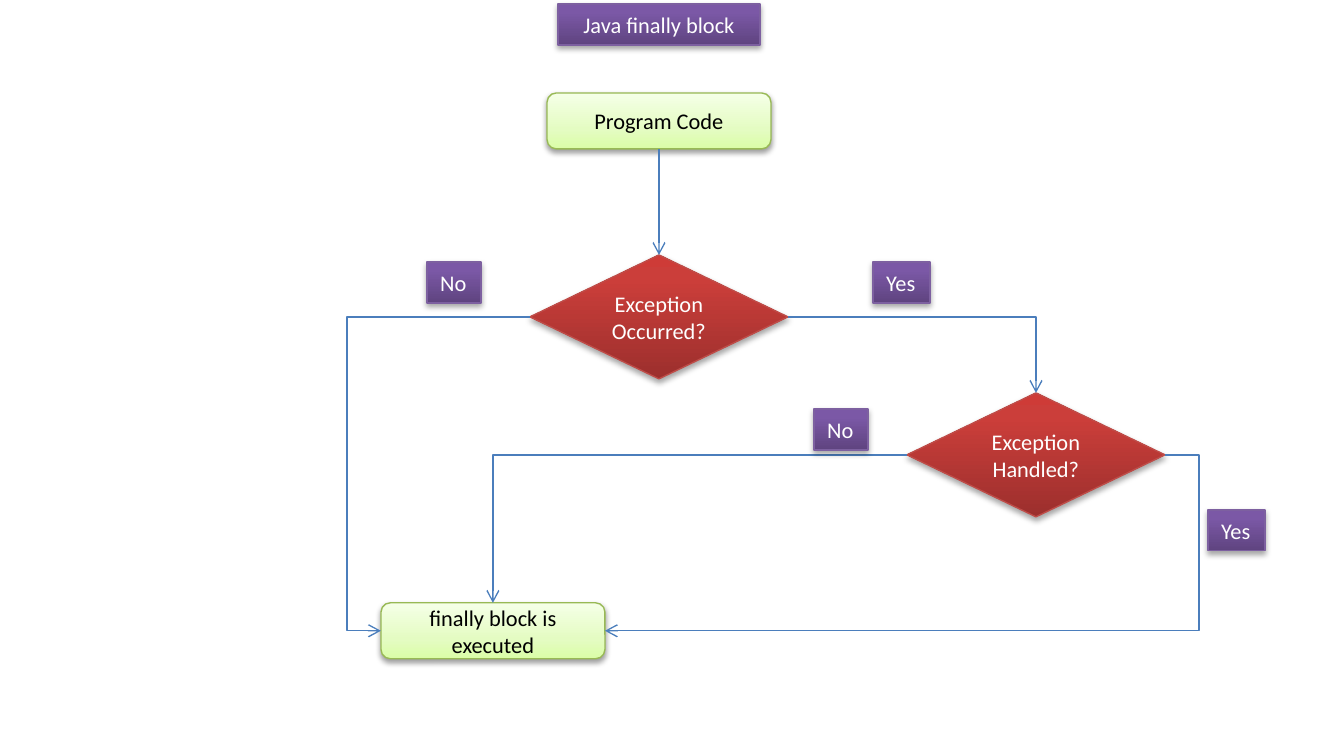
from lxml import etree
from pptx import Presentation
from pptx import util as u
from pptx.dml.color import RGBColor
from pptx.enum import shapes, text
from pptx.oxml import parse_xml
from pptx.oxml.ns import nsdecls, qn

PX = u.Inches(10) / 1344
COLORS = {"white": "FFFFFF", "black": "000000", "arrow": "4B7EBC"}
# Gradient stops run from the bottom of a shape to its top.
STYLES = {
    "label": {"stops": [(0, "5F4480"), (80, "7B58A6"), (100, "7C57A8")],
              "line": "7D60A0", "font": "white", "shadow": (35, 1.8)},
    "step": {"stops": [(0, "DAFDA7"), (35, "E4FCC2"), (100, "F5FFE7")],
             "line": "98B955", "font": "black", "shadow": (38, 1.6)},
    "decision": {"stops": [(0, "9C2F2D"), (80, "CB3E3A"), (100, "CE3B37")],
                 "line": "BF4C48", "font": "white", "shadow": (35, 1.8)},
}
FORMS = {
    "step": (shapes.MSO_SHAPE.FLOWCHART_ALTERNATE_PROCESS, 224, 56),
    "decision": (shapes.MSO_SHAPE.FLOWCHART_DECISION, 258, 124),
}

TITLE = ("Java finally block", 558, 4, 202, 41)
# name: style, wording, centre x, centre y
NODES = {
    "program": ("step", "Program Code", 659, 121),
    "occurred": ("decision", "Exception Occurred?", 659, 317),
    "handled": ("decision", "Exception Handled?", 1036, 455),
    "finally": ("step", "finally block is executed", 493, 631),
}
LABELS = [("Yes", 873, 262), ("Yes", 1208, 510), ("No", 427, 262), ("No", 814, 409)]
LABEL_WIDTHS = {"Yes": 57, "No": 54}
LABEL_HEIGHT = 41
TOP, LEFT, BOTTOM, RIGHT = range(4)
# from, side, to, side, connector form
ARROWS = [
    ("program", BOTTOM, "occurred", TOP, "line"),
    ("occurred", RIGHT, "handled", TOP, "bentConnector2"),
    ("occurred", LEFT, "finally", LEFT, "bentConnector3"),
    ("handled", RIGHT, "finally", RIGHT, "bentConnector3"),
    ("handled", LEFT, "finally", TOP, "bentConnector2"),
]
DETOUR = 34  # how far a three-part arrow swings out past the outer box side


def px(*lengths):
    return [round(length * PX) for length in lengths]


def decorate(shape, style):
    """Apply the gradient, outline and soft shadow of a style."""
    look = STYLES[style]
    shape.fill.gradient()
    shape.fill.gradient_angle = 90
    properties = shape._element.spPr
    stops = properties.find(".//" + qn("a:gsLst"))
    for stop in list(stops):
        stops.remove(stop)
    for position, color in look["stops"]:
        stop = etree.SubElement(stops, qn("a:gs"), pos=str(position * 1000))
        etree.SubElement(stop, qn("a:srgbClr"), val=color)
    shape.line.color.rgb = RGBColor.from_string(look["line"])
    shape.line.width = u.Pt(0.75)
    shape.shadow.inherit = False
    alpha, distance = look["shadow"]
    properties.find(qn("a:effectLst")).append(parse_xml(
        f'<a:outerShdw {nsdecls("a")} blurRad="{u.Pt(3.1)}" dist="{u.Pt(distance)}" '
        f'dir="5400000" rotWithShape="0"><a:srgbClr val="{COLORS["black"]}">'
        f'<a:alpha val="{alpha * 1000}"/></a:srgbClr></a:outerShdw>'))


def write(shape, wording, style, align=text.PP_ALIGN.CENTER, wrap=True):
    frame = shape.text_frame
    frame.text = wording
    frame.word_wrap = wrap
    frame.vertical_anchor = text.MSO_ANCHOR.MIDDLE
    frame.auto_size = text.MSO_AUTO_SIZE.NONE
    para = frame.paragraphs[0]
    para.alignment = align
    para.font.name = "Calibri"
    para.font.size = u.Pt(12)
    para.font.color.rgb = RGBColor.from_string(COLORS[STYLES[style]["font"]])


def add_node(page, style, wording, x, y):
    form, width, height = FORMS[style]
    node = page.shapes.add_shape(
        form, *px(x - width / 2, y - height / 2, width, height))
    decorate(node, style)
    write(node, wording, style)
    return node


def add_arrow(page, start, start_side, end, end_side, form):
    kind = shapes.MSO_CONNECTOR.STRAIGHT if form == "line" else shapes.MSO_CONNECTOR.ELBOW
    arrow = page.shapes.add_connector(kind, 0, 0, 0, 0)
    arrow.begin_connect(start, start_side)
    arrow.end_connect(end, end_side)
    arrow.line.color.rgb = RGBColor.from_string(COLORS["arrow"])
    arrow.line.width = u.Pt(0.75)
    properties = arrow._element.spPr
    etree.SubElement(properties.find(qn("a:ln")), qn("a:tailEnd"), type="arrow")
    etree.SubElement(properties, qn("a:effectLst"))
    geometry = properties.find(qn("a:prstGeom"))
    geometry.set("prst", form)
    if form == "bentConnector3":
        swing = DETOUR * PX / arrow.width
        bend = 1 + swing if end_side == LEFT else -swing
        guides = geometry.find(qn("a:avLst"))
        etree.SubElement(guides, qn("a:gd"), name="adj1",
                         fmla=f"val {round(bend * 100000)}")


def main():
    deck = Presentation()
    deck.slide_width, deck.slide_height = u.Inches(10), u.Inches(5.5)
    page = deck.slides.add_slide(deck.slide_layouts[5])

    wording, *place = TITLE
    title = page.shapes.title
    title.left, title.top, title.width, title.height = px(*place)
    decorate(title, "label")
    write(title, wording, "label")

    nodes = {name: add_node(page, *node) for name, node in NODES.items()}
    for start, start_side, end, end_side, form in ARROWS:
        add_arrow(page, nodes[start], start_side, nodes[end], end_side, form)

    for wording, x, y in LABELS:
        label = page.shapes.add_shape(
            shapes.MSO_SHAPE.RECTANGLE, *px(x, y, LABEL_WIDTHS[wording], LABEL_HEIGHT))
        decorate(label, "label")
        write(label, wording, "label", text.PP_ALIGN.LEFT, wrap=False)

    deck.save("out.pptx")


if __name__ == "__main__":
    main()
